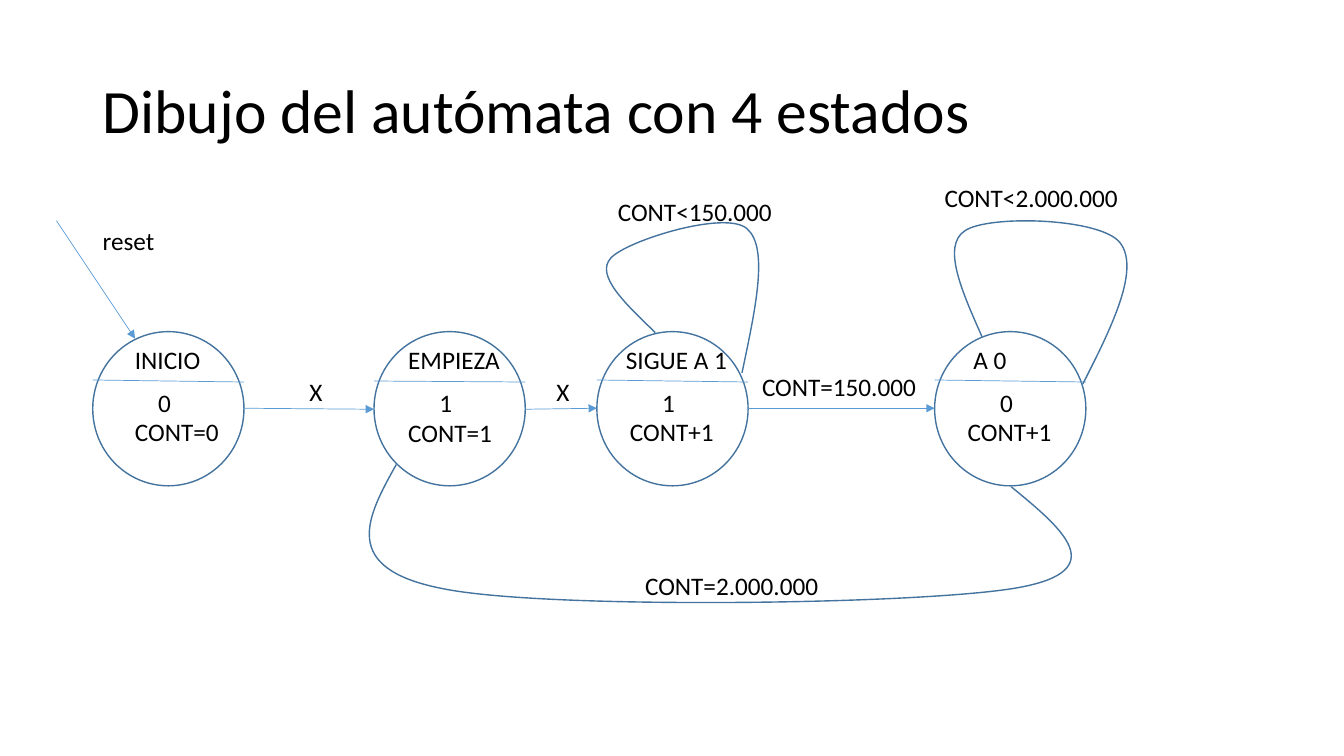
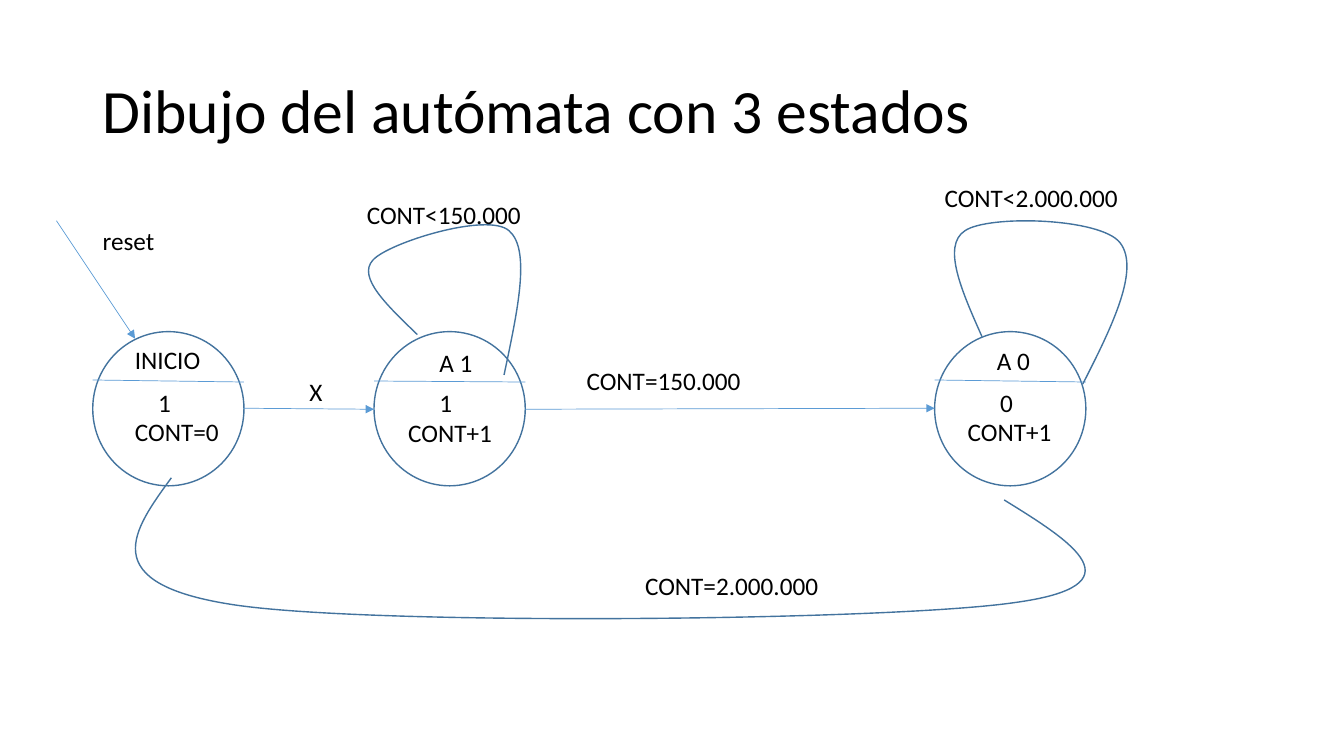
from lxml import etree
from pptx import Presentation
from pptx.dml.color import RGBColor
from pptx.enum.shapes import MSO_CONNECTOR as Connector, MSO_SHAPE as Shape
from pptx.enum.text import MSO_ANCHOR as Anchor, MSO_AUTO_SIZE as AutoSize
from pptx.oxml.ns import qn
from pptx.util import Inches, Pt


def color(value):
    return RGBColor.from_string(value)


def bezier(p0, p1, p2, p3, steps=50):
    """Points along a cubic curve, to find how far it reaches."""
    for step in range(steps + 1):
        t = step / steps
        u = 1 - t
        yield tuple(u**3 * a + 3 * u * u * t * b + 3 * u * t * t * c + t**3 * d
                    for a, b, c, d in zip(p0, p1, p2, p3))


class Automaton:
    WHITE, INK, EDGE, ARROW = "FFFFFF", "000000", "43739E", "5B9BD5"
    FONT = "Calibri"
    WIDTH, HEIGHT, TOP = 1.5, 1.53, 3.29  # state circles

    def __init__(self, deck):
        self.deck = deck
        self.slide = None

    def start(self, heading):
        self.slide = self.deck.slides.add_slide(self.deck.slide_layouts[6])
        title = self.text(heading, 0.92, 0.4, 11.5, 1.45, size=44,
                          word_wrap=True, auto_size=AutoSize.NONE,
                          vertical_anchor=Anchor.MIDDLE)
        title.paragraphs[0].line_spacing = 0.9

    def text(self, words, left, top, width, height=0.4, size=18, parent=None, **frame_format):
        shapes = (parent or self.slide).shapes
        frame = shapes.add_textbox(*map(Inches, (left, top, width, height))).text_frame
        layout = {"word_wrap": False, "auto_size": AutoSize.SHAPE_TO_FIT_TEXT}
        for name, value in {**layout, **frame_format}.items():
            setattr(frame, name, value)
        run = frame.paragraphs[0].add_run()
        run.text = words
        for name, value in {"name": self.FONT, "size": Pt(size)}.items():
            setattr(run.font, name, value)
        run.font.color.rgb = color(self.INK)
        return frame

    def line(self, begin, end, arrow=True, parent=None):
        shapes = (parent or self.slide).shapes
        link = shapes.add_connector(Connector.STRAIGHT, *map(Inches, begin + end))
        link.line.color.rgb = color(self.ARROW)
        link.line.width = Pt(0.5)
        if arrow:
            etree.SubElement(link.line._get_or_add_ln(), qn("a:tailEnd"), type="triangle")
        etree.SubElement(link._element.spPr, qn("a:effectLst"))

    def outline(self, shape):
        shape.shadow.inherit = False
        shape.line.color.rgb = color(self.EDGE)
        shape.line.width = Pt(1)

    def state(self, place, name, output, action, name_at, name_width,
              name_top=3.37, action_at=0.23):
        """A circle split by a line; the *_at values are offsets from its left."""
        left, axis = place
        group = self.slide.shapes.add_group_shape()
        circle = group.shapes.add_shape(
            Shape.OVAL, *map(Inches, (left, self.TOP, self.WIDTH, self.HEIGHT)))
        circle.fill.solid()
        circle.fill.fore_color.rgb = color(self.WHITE)
        self.outline(circle)
        self.line((left, axis - 0.28), (left + self.WIDTH, 3.79), arrow=False, parent=group)
        self.text(name, left + name_at, name_top, name_width, parent=group)
        self.text(action, left + action_at, axis + 0.03, 1.04, parent=group)
        self.text(output, left + 0.55, 3.79, 0.33, parent=group)

    def step(self, source, target):
        """An arrow between two states."""
        self.line((source[0] + self.WIDTH, source[1]), target)

    def curve(self, knots, shift=(0, 0)):
        """An open curve of cubic pieces: a start, then three points each."""
        knots = [(x + shift[0], y + shift[1]) for x, y in knots]
        pieces = range(0, len(knots) - 1, 3)
        reach = [point for i in pieces for point in bezier(*knots[i:i + 4])]
        low = [Inches(min(axis)) for axis in zip(*reach)]
        high = [Inches(max(axis)) for axis in zip(*reach)]
        builder = self.slide.shapes.build_freeform(*low)
        builder.add_line_segments([high], close=False)
        edge = builder.convert_to_shape()

        # Curves in the frame that the two corners span
        track = edge._element.spPr.find(".//" + qn("a:path"))
        for segment in list(track):
            track.remove(segment)
        moves = [("a:moveTo", knots[:1])]
        moves += [("a:cubicBezTo", knots[i + 1:i + 4]) for i in pieces]
        for tag, points in moves:
            segment = etree.SubElement(track, qn(tag))
            for x, y in points:
                etree.SubElement(segment, qn("a:pt"),
                                 x=str(Inches(x) - low[0]), y=str(Inches(y) - low[1]))
        edge.fill.background()
        self.outline(edge)


# Left edge of each state and height of its arrows
INICIO, SECOND, SIGUE, LAST = (0.92, 4.05), (3.71, 4.06), (5.92, 4.05), (9.27, 4.05)

# Curved transitions
SHORT_LOOP = [(7.36, 3.7), (7.49, 3.08), (7.63, 2.46), (7.41, 2.27), (7.2, 2.08),
              (6.21, 2.39), (6.06, 2.56), (5.9, 2.73), (6.2, 3.01), (6.5, 3.3)]
LONG_LOOP = [(10.74, 3.81), (11.03, 3.24), (11.31, 2.67), (11.11, 2.41), (10.92, 2.16),
             (9.8, 2.13), (9.57, 2.29), (9.34, 2.44), (9.54, 2.89), (9.74, 3.34)]
BACK_TO_EMPIEZA = [(10.03, 4.83), (10.53, 5.24), (11.04, 5.66), (10.1, 5.83), (9.16, 6),
                   (5.41, 6.05), (4.39, 5.84), (3.36, 5.64), (3.64, 5.13), (3.93, 4.61)]
BACK_TO_INICIO = [(9.96, 4.96), (10.64, 5.38), (11.32, 5.81), (10.05, 5.98), (8.78, 6.16),
                  (3.71, 6.21), (2.32, 6), (0.93, 5.79), (1.32, 5.26), (1.7, 4.74)]


def begin_automaton(pen, count, first_output):
    """Title, reset and first state."""
    pen.start(f"Dibujo del autómata con {count} estados")
    pen.state(INICIO, "INICIO", first_output, "CONT=0", 0.32, 0.86, action_at=0.32)
    pen.line((0.56, 2.19), (1.34, 3.36))
    pen.text("reset", 0.92, 2.19, 0.72)


def second_state(pen, *labels):
    """Second state and the way into it."""
    pen.state(SECOND, *labels, action_at=0.24)
    pen.step(INICIO, SECOND)
    pen.text("X", 2.97, 3.68, 0.33)


def end_automaton(pen, source, label_at, name_format, way_back):
    """Last state, the way into it, its loop and the way back."""
    name, name_at, name_width, name_top = name_format
    pen.state(LAST, name, "0", "CONT+1", name_at, name_width, name_top)
    pen.step(source, LAST)
    pen.text("CONT=150.000", *label_at, 1.74)
    pen.curve(LONG_LOOP)
    pen.text("CONT<2.000.000", 9.27, 1.76, 1.94)
    pen.curve(way_back)
    pen.text("CONT=2.000.000", 6.3, 5.61, 1.94)


deck = Presentation()
deck.slide_width, deck.slide_height = Inches(13.33), Inches(7.5)
pen = Automaton(deck)

# Four states
begin_automaton(pen, 4, "0")
second_state(pen, "EMPIEZA", "1", "CONT=1", 0.24, 1.12)
pen.state(SIGUE, "SIGUE A 1", "1", "CONT+1", 0.19, 1.21)
pen.step(SECOND, SIGUE)
pen.text("X", 5.42, 3.68, 0.33)
pen.curve(SHORT_LOOP)
pen.text("CONT<150.000", 6.03, 1.9, 1.74)
end_automaton(pen, SIGUE, (7.46, 3.63), (" A 0", 0.23, 0.59, 3.37), BACK_TO_EMPIEZA)

# Three states
begin_automaton(pen, 3, "1")
second_state(pen, "A 1", "1", "CONT+1", 0.55, 0.53, 3.4)
pen.curve(SHORT_LOOP, shift=(-2.36, 0.02))
pen.text("CONT<150.000", 3.54, 1.93, 1.74)
end_automaton(pen, SECOND, (5.72, 3.58), ("A 0", 0.52, 0.53, 3.38), BACK_TO_INICIO)

deck.save("out.pptx")
